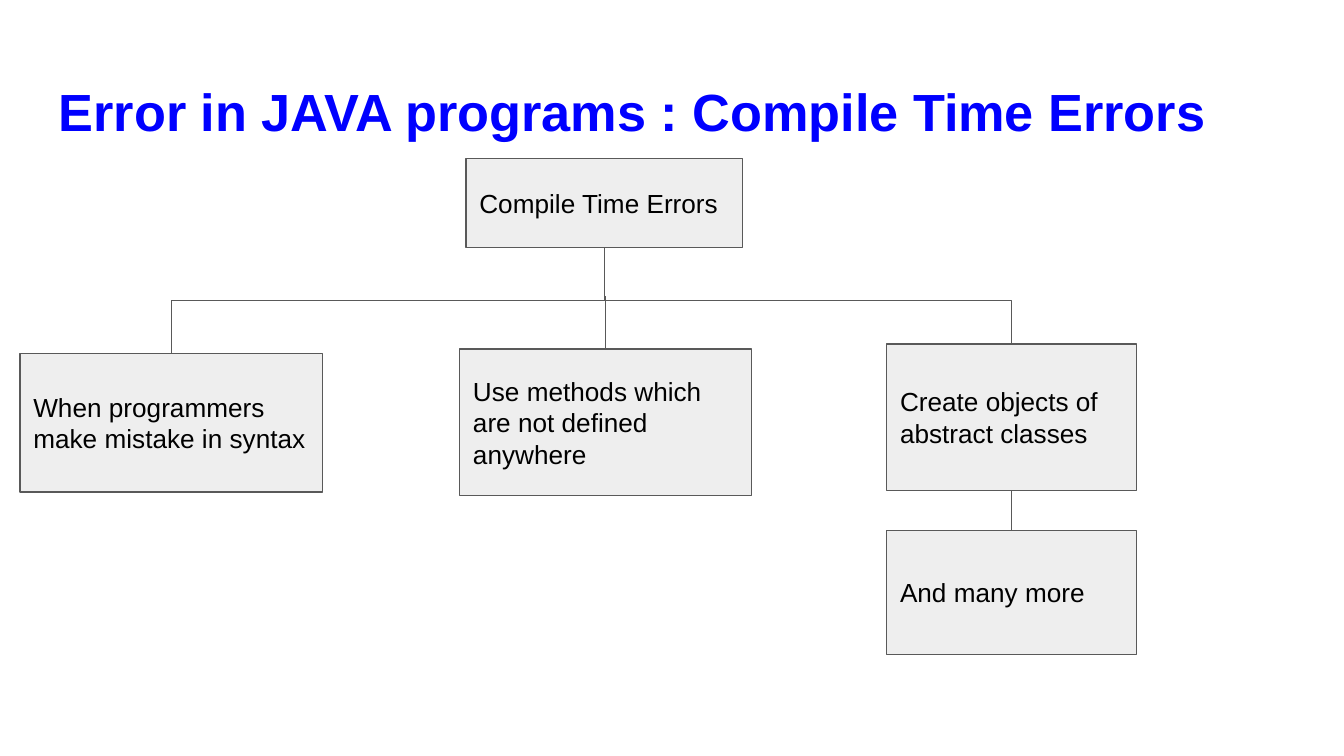
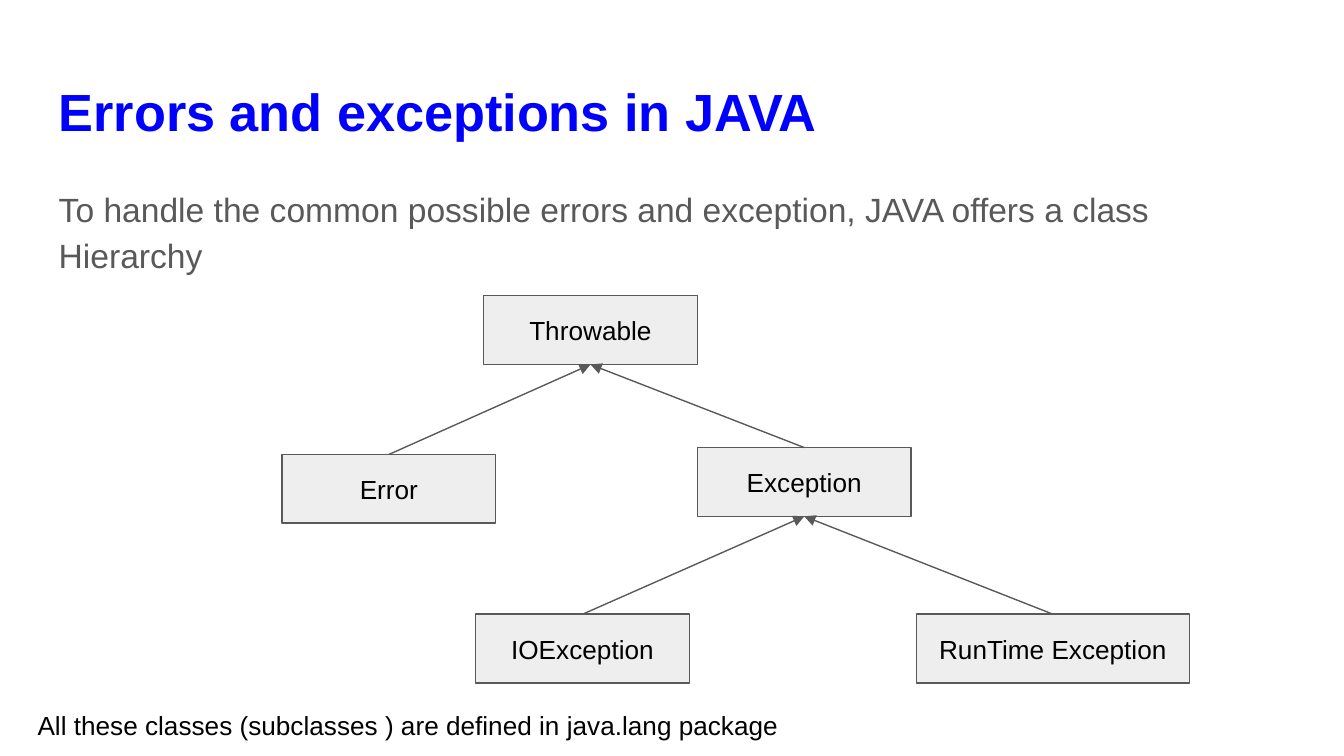
from dataclasses import dataclass

from lxml import etree
from pptx import Presentation
from pptx.dml.color import RGBColor
from pptx.enum.shapes import MSO_CONNECTOR, MSO_SHAPE
from pptx.enum.text import MSO_ANCHOR, MSO_AUTO_SIZE, PP_ALIGN
from pptx.oxml.ns import qn
from pptx.util import Cm, Pt

RECT = MSO_SHAPE.RECTANGLE
STRAIGHT, ELBOW = MSO_CONNECTOR.STRAIGHT, MSO_CONNECTOR.ELBOW
TOP, MIDDLE = MSO_ANCHOR.TOP, MSO_ANCHOR.MIDDLE
LEFT, CENTER = PP_ALIGN.LEFT, PP_ALIGN.CENTER
NO_FIT = MSO_AUTO_SIZE.NONE
ABOVE, BELOW = 0, 2  # connection sites of a rectangle
TITLE_BODY, TITLE_ONLY = 1, 5  # template layouts


@dataclass(frozen=True)
class Theme:
    font: str = "Arial"
    blue: RGBColor = RGBColor(0x00, 0x00, 0xFF)
    gray: RGBColor = RGBColor(0x59, 0x59, 0x59)
    pale: RGBColor = RGBColor(0xEE, 0xEE, 0xEE)
    black: RGBColor = RGBColor(0x00, 0x00, 0x00)
    title: Pt = Pt(28)
    body: Pt = Pt(18)
    label: Pt = Pt(14)
    rule: Pt = Pt(0.75)
    inset: Cm = Cm(0.25)


THEME = Theme()


# Text

def write(shape, text, size, color, bold=False, align=LEFT, anchor=TOP):
    frame = shape.text_frame
    frame.word_wrap = True
    frame.auto_size = NO_FIT
    frame.vertical_anchor = anchor
    frame.margin_left = frame.margin_right = THEME.inset
    frame.margin_top = frame.margin_bottom = THEME.inset
    para = frame.paragraphs[0]
    para.alignment = align
    run = para.add_run()
    run.text = text
    font = run.font
    font.name, font.size, font.bold = THEME.font, size, bold
    font.color.rgb = color
    return para


def place(shape, x, y, w, h):
    shape.left, shape.top = Cm(x), Cm(y)
    shape.width, shape.height = Cm(w), Cm(h)


def add_slide(deck, layout, title):
    slide = deck.slides.add_slide(deck.slide_layouts[layout])
    head = slide.shapes.title
    place(head, 0.86, 1.24, 23.67, 1.6)
    write(head, title, THEME.title, THEME.blue, bold=True)
    return slide


def add_body(slide, text):
    body = slide.placeholders[1]
    place(body, 0.86, 3.2, 23.67, 1.96)
    para = write(body, text, THEME.body, THEME.gray)
    para.line_spacing = 1.15
    para.space_before = Pt(0)
    props = para._p.get_or_add_pPr()
    props.set("marL", "0")
    props.set("indent", "0")
    etree.SubElement(props, qn("a:buNone"))


def add_note(slide, text, x, y, w, h):
    note = slide.shapes.add_textbox(Cm(x), Cm(y), Cm(w), Cm(h))
    write(note, text, THEME.label, THEME.black)


# Boxes and lines

def add_box(slide, text, x, y, w, h, align=LEFT):
    box = slide.shapes.add_shape(RECT, Cm(x), Cm(y), Cm(w), Cm(h))
    box.shadow.inherit = False
    box.fill.solid()
    box.fill.fore_color.rgb = THEME.pale
    box.line.color.rgb = THEME.gray
    box.line.width = THEME.rule
    write(box, text, THEME.label, THEME.black, align=align, anchor=MIDDLE)
    return box


def center(box):
    return box.left + box.width // 2


def add_line(slide, kind, start, end):
    line = slide.shapes.add_connector(kind, *start, *end)
    line.line.color.rgb = THEME.gray
    line.line.width = THEME.rule
    etree.SubElement(line.element.spPr, qn("a:effectLst"))
    return line


def link(slide, child, parent, arrow=False):
    """Straight line from the top of child to the bottom of parent."""
    line = add_line(slide, STRAIGHT, (center(child), child.top),
                    (center(parent), parent.top + parent.height))
    line.begin_connect(child, ABOVE)
    line.end_connect(parent, BELOW)
    if arrow:
        stroke = line.line._get_or_add_ln()
        etree.SubElement(stroke, qn("a:tailEnd"), type="triangle")


def branch(slide, parent, child, bend):
    """Elbow that leaves parent downward and enters the top of child."""
    x1, y1 = center(parent), parent.top + parent.height
    x2, y2 = center(child), child.top
    line = add_line(slide, ELBOW, (x1, y1), (x2, y2))
    line.begin_connect(parent, BELOW)
    line.end_connect(child, ABOVE)
    # Turn the frame so that the first leg runs vertically
    drop, reach = y2 - y1, abs(x2 - x1)
    line.left = (x1 + x2 - drop) // 2
    line.top = (y1 + y2 - reach) // 2
    line.width, line.height = drop, reach
    right = x2 > x1
    frame = line.element.spPr.find(qn("a:xfrm"))
    frame.set("rot", "16200000" if right else "5400000")
    frame.set("flipH", "1" if right else "0")
    frame.set("flipV", "0")
    guides = line.element.spPr.find(qn("a:prstGeom")).find(qn("a:avLst"))
    etree.SubElement(guides, qn("a:gd"), name="adj1",
                     fmla=f"val {round(bend * 100000)}")


# Slides

def compile_slide(deck):
    slide = add_slide(deck, TITLE_ONLY,
                      "Error in JAVA programs : Compile Time Errors")
    root = add_box(slide, "Compile Time Errors", 8.81, 3, 5.23, 1.68)
    syntax = add_box(slide, "When programmers make mistake in syntax",
                     0.38, 6.68, 5.72, 2.62)
    method = add_box(slide, "Use methods which are not defined anywhere",
                     8.69, 6.6, 5.51, 2.77)
    object_ = add_box(slide, "Create objects of abstract classes",
                      16.76, 6.5, 4.72, 2.77)
    more = add_box(slide, "And many more", 16.76, 10.03, 4.72, 2.34)
    branch(slide, root, syntax, 0.5)
    branch(slide, root, object_, 0.55)
    mid = center(method)
    stub = add_line(slide, STRAIGHT, (mid, method.top), (mid, Cm(5.6)))
    stub.begin_connect(method, ABOVE)
    link(slide, more, object_)


def class_slide(deck):
    slide = add_slide(deck, TITLE_BODY, "Errors and exceptions in JAVA")
    add_body(slide, "To handle the common possible errors and exception, "
                    "JAVA offers a class Hierarchy")
    nodes = [
        # name, x, y, width, parent
        ("Throwable", 9.14, 5.59, 4.04, None),
        ("Error", 5.33, 8.59, 4.04, "Throwable"),
        ("Exception", 13.18, 8.46, 4.04, "Throwable"),
        ("IOException", 8.99, 11.61, 4.04, "Exception"),
        ("RunTime Exception", 17.32, 11.61, 5.16, "Exception"),
    ]
    boxes = {name: add_box(slide, name, x, y, w, 1.3, CENTER)
             for name, x, y, w, _ in nodes}
    for name, *_, parent in nodes:
        if parent:
            link(slide, boxes[name], boxes[parent], arrow=True)
    add_note(slide, "All these classes (subclasses ) are defined in "
                    "java.lang package", 0.46, 13.16, 15.14, 1.3)


def main():
    deck = Presentation()
    deck.slide_width, deck.slide_height = Cm(25.4), Cm(14.29)
    compile_slide(deck)
    class_slide(deck)
    deck.save("out.pptx")


if __name__ == "__main__":
    main()
